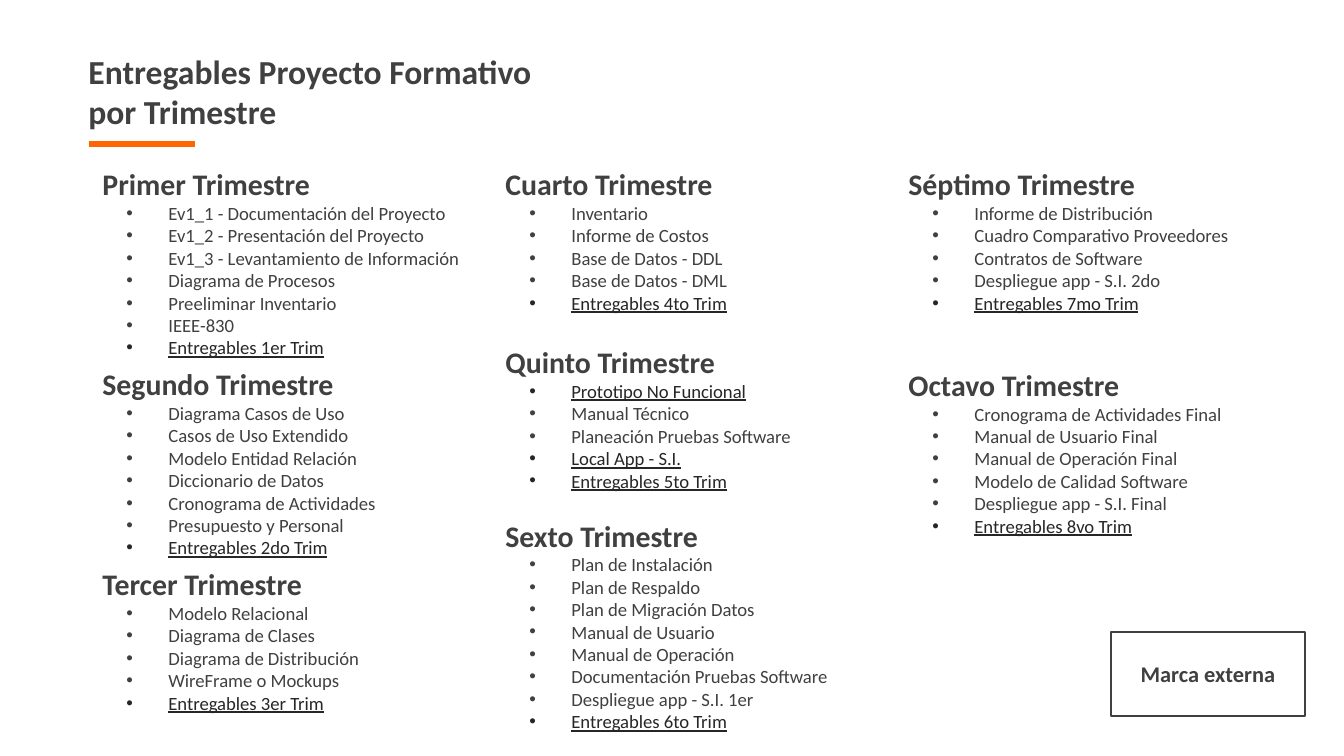
from lxml.etree import SubElement
from pptx import Presentation
from pptx.dml.color import RGBColor
from pptx.enum.shapes import MSO_SHAPE as Shape
from pptx.enum.text import MSO_ANCHOR as Anchor, MSO_AUTO_SIZE as Auto, PP_ALIGN as Align
from pptx.oxml.ns import qn
from pptx.util import Pt

PX = 914400 / 134.4
GREY = RGBColor(0x40, 0x40, 0x40)
DARK = RGBColor(0x26, 0x26, 0x26)
ORANGE = RGBColor(0xFF, 0x66, 0x00)

HEAD = {"size": Pt(16), "bold": True, "underline": False}
ITEM = {"size": Pt(10), "bold": False, "underline": False}
LINK = {**ITEM, "underline": True}
LINKED = ("Entregables", "Prototipo", "Local App")

# Each column: height in px, then (gap before in pt, heading, items)
COLUMNS = [
    (597, [
        (0, "Primer Trimestre", [
            "Ev1_1 - Documentación del Proyecto", "Ev1_2 - Presentación del Proyecto",
            "Ev1_3 - Levantamiento de Información", "Diagrama de Procesos",
            "Preeliminar Inventario", "IEEE-830", "Entregables 1er Trim"]),
        (0, "Segundo Trimestre", [
            "Diagrama Casos de Uso", "Casos de Uso Extendido", "Modelo Entidad Relación",
            "Diccionario de Datos", "Cronograma de Actividades",
            "Presupuesto y Personal", "Entregables 2do Trim"]),
        (0, "Tercer Trimestre", [
            "Modelo Relacional", "Diagrama de Clases", "Diagrama de Distribución",
            "WireFrame o Mockups", "Entregables 3er Trim"])]),
    (591, [
        (0, "Cuarto Trimestre", [
            "Inventario", "Informe de Costos", "Base de Datos - DDL",
            "Base de Datos - DML", "Entregables 4to Trim"]),
        (12.2, "Quinto Trimestre", [
            "Prototipo No Funcional", "Manual Técnico", "Planeación Pruebas Software",
            "Local App - S.I.", "Entregables 5to Trim"]),
        (9.8, "Sexto Trimestre", [
            "Plan de Instalación", "Plan de Respaldo", "Plan de Migración Datos",
            "Manual de Usuario", "Manual de Operación", "Documentación Pruebas Software",
            "Despliegue app - S.I. 1er", "Entregables 6to Trim"])]),
    (422, [
        (0, "Séptimo Trimestre", [
            "Informe de Distribución", "Cuadro Comparativo Proveedores",
            "Contratos de Software", "Despliegue app - S.I. 2do", "Entregables 7mo Trim"]),
        (24.4, "Octavo Trimestre", [
            "Cronograma de Actividades Final", "Manual de Usuario Final",
            "Manual de Operación Final", "Modelo de Calidad Software",
            "Despliegue app - S.I. Final", "Entregables 8vo Trim"])]),
]


def px(*nums):
    """Turn px lengths into EMU."""
    return [round(num * PX) for num in nums]


def write(para, text, look, color=GREY, before=0, ratio=1.0):
    para.space_before, para.space_after, para.line_spacing = Pt(before), Pt(0), ratio
    run = para.add_run()
    run.text = text
    run.font.name = "Calibri"
    run.font.color.rgb = color
    for key, val in look.items():
        setattr(run.font, key, val)


deck = Presentation()
deck.slide_width, deck.slide_height = px(1344, 756)
slide = deck.slides.add_slide(deck.slide_layouts[4])
title, *bodies = slide.placeholders
spare = bodies.pop(2)
spare.element.getparent().remove(spare.element)

areas = [(75, 44, 669, 95)]
areas += [(89 + 403 * col, 152, 394, high) for col, (high, _) in enumerate(COLUMNS)]
for holder, area in zip([title, *bodies], areas):
    holder.left, holder.top, holder.width, holder.height = px(*area)
    frame = holder.text_frame
    frame.word_wrap, frame.auto_size = True, Auto.NONE
    frame.vertical_anchor = Anchor.TOP

frame = title.text_frame
for num, line in enumerate(["Entregables Proyecto Formativo", "por Trimestre"]):
    para = frame.add_paragraph() if num else frame.paragraphs[0]
    para.alignment = Align.LEFT
    write(para, line, {"size": Pt(18), "bold": True})

for body, (_, terms) in zip(bodies, COLUMNS):
    frame = body.text_frame
    for num, (gap, name, items) in enumerate(terms):
        para = frame.add_paragraph() if num else frame.paragraphs[0]
        write(para, name, HEAD, before=gap, ratio=1.2)
        props = para._p.get_or_add_pPr()
        props.set("marL", "0")
        props.set("indent", "0")
        SubElement(props, qn("a:buNone"))
        for item in items:
            para = frame.add_paragraph()
            link = item.startswith(LINKED)
            write(para, item, LINK if link else ITEM, DARK if link else GREY)
            props = para._p.get_or_add_pPr()
            margin, hang = px(66, -42)
            props.set("marL", str(margin))
            props.set("indent", str(hang))
            SubElement(props, qn("a:buFont"), typeface="Arial")
            SubElement(props, qn("a:buChar"), char="•")

bar = slide.shapes.add_shape(Shape.RECTANGLE, *px(89, 141, 106, 6))
bar.shadow.inherit = False
bar.fill.solid()
bar.fill.fore_color.rgb = ORANGE
bar.line.fill.background()

brand = slide.shapes.add_shape(Shape.RECTANGLE, *px(1111, 632, 194, 84))
brand.shadow.inherit = False
brand.fill.background()
brand.line.color.rgb = GREY
brand.line.width = Pt(0.75)
para = brand.text_frame.paragraphs[0]
para.alignment = Align.CENTER
write(para, "Marca externa", {"size": Pt(12), "bold": True})

deck.save("out.pptx")
